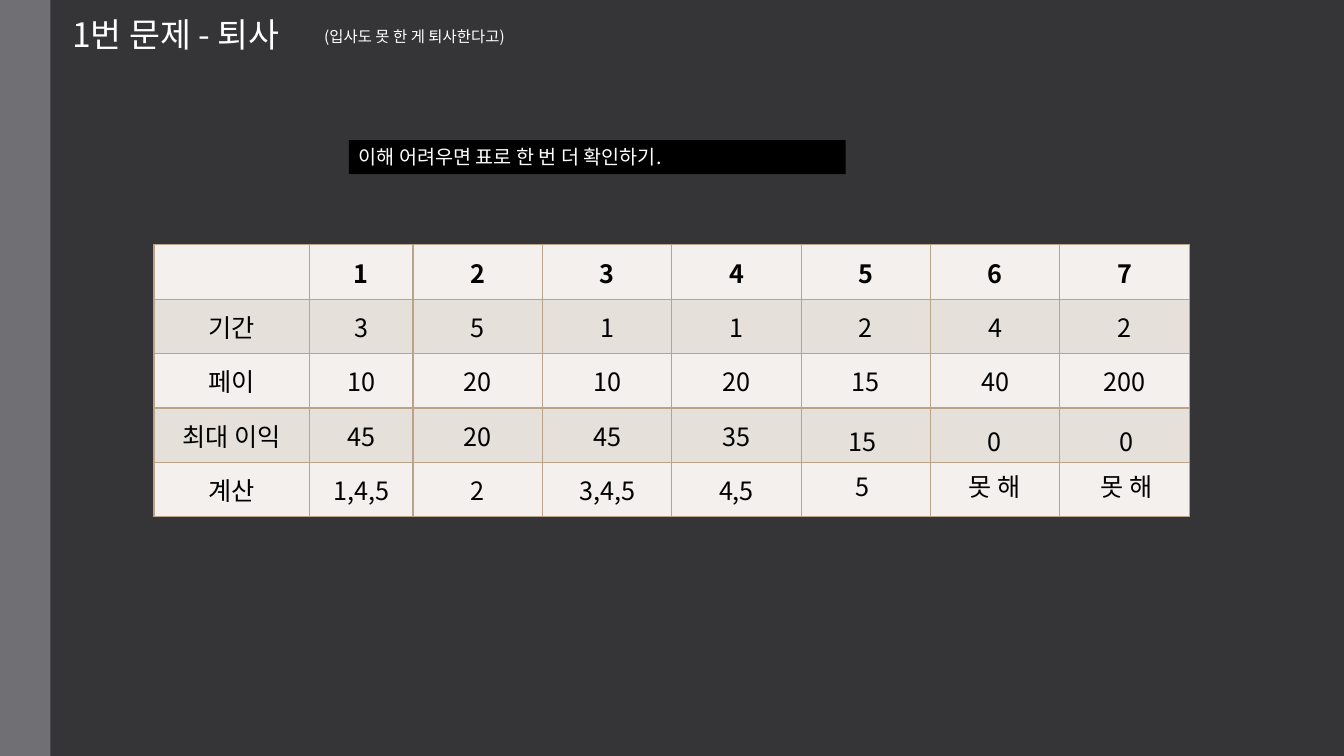
from lxml import etree
from pptx import Presentation
from pptx.dml.color import RGBColor
from pptx.enum.shapes import MSO_SHAPE
from pptx.enum.text import MSO_ANCHOR, MSO_AUTO_SIZE, PP_ALIGN
from pptx.oxml.ns import qn
from pptx.util import Cm, Pt

RECT = MSO_SHAPE.RECTANGLE
TOP, MIDDLE = MSO_ANCHOR.TOP, MSO_ANCHOR.MIDDLE
LEFT, CENTER = PP_ALIGN.LEFT, PP_ALIGN.CENTER
GROW = MSO_AUTO_SIZE.SHAPE_TO_FIT_TEXT

FONT = "Noto Sans CJK KR"
DARK = RGBColor(0x35, 0x35, 0x37)
GRAY = RGBColor(0x6F, 0x6F, 0x74)
WHITE = RGBColor(0xFF, 0xFF, 0xFF)
BLACK = RGBColor(0x00, 0x00, 0x00)
LIGHT = RGBColor(0xF3, 0xF0, 0xED)
BEIGE = RGBColor(0xE6, 0xE0, 0xDA)
TAN = RGBColor(0xB9, 0xA4, 0x89)

ROWS = [
    ["", "1", "2", "3", "4", "5", "6", "7"],
    ["기간", "3", "5", "1", "1", "2", "4", "2"],
    ["페이", "10", "20", "10", "20", "15", "40", "200"],
    ["최대 이익", "45", "20", "45", "35", "", "", ""],
    ["계산", "1,4,5", "2", "3,4,5", "4,5", "", "", ""],
]
WIDTHS = [3.91, 2.62] + [3.26] * 6
HEIGHT = 1.37


def write(frame, text, size, color, align=LEFT, bold=False, spacing=None):
    frame.text = text
    for para in frame.paragraphs:
        para.alignment = align
        if spacing:
            para.line_spacing = spacing
        font = para.font
        font.size = Pt(size)
        font.bold = bold
        font.color.rgb = color
        font.name = FONT
        for face in para._p.iter(qn("a:latin")):
            east = etree.Element(qn("a:ea"), typeface=FONT)
            face.addnext(east)


def add_box(slide, left, top, width, height, fill):
    box = slide.shapes.add_shape(RECT, Cm(left), Cm(top), Cm(width), Cm(height))
    box.shadow.inherit = False
    box.fill.solid()
    box.fill.fore_color.rgb = fill
    box.line.fill.background()
    return box


def add_label(slide, left, top, width, height, text, size, color=WHITE,
              align=LEFT, anchor=TOP, spacing=None):
    box = slide.shapes.add_textbox(Cm(left), Cm(top), Cm(width), Cm(height))
    frame = box.text_frame
    frame.word_wrap = True
    frame.auto_size = GROW
    frame.vertical_anchor = anchor
    write(frame, text, size, color, align, spacing=spacing)


def set_border(cell):
    props = cell._tc.get_or_add_tcPr()
    for index, side in enumerate(("lnL", "lnR", "lnT", "lnB")):
        line = etree.Element(qn(f"a:{side}"), w=str(Pt(1)))
        fill = etree.SubElement(line, qn("a:solidFill"))
        etree.SubElement(fill, qn("a:srgbClr"), val=str(TAN))
        props.insert(index, line)


def add_grid(slide, left, top):
    shape = slide.shapes.add_table(len(ROWS), len(WIDTHS), Cm(left), Cm(top),
                                   Cm(sum(WIDTHS)), Cm(HEIGHT * len(ROWS)))
    table = shape.table
    table.first_row = False
    table.horz_banding = False
    for column, width in zip(table.columns, WIDTHS):
        column.width = Cm(width)
    for r, values in enumerate(ROWS):
        table.rows[r].height = Cm(HEIGHT)
        for c, value in enumerate(values):
            cell = table.cell(r, c)
            cell.fill.solid()
            cell.fill.fore_color.rgb = BEIGE if r % 2 else LIGHT
            cell.vertical_anchor = MIDDLE
            write(cell.text_frame, value, 18, BLACK, CENTER, bold=r == 0)
            set_border(cell)


def add_note(slide, text):
    box = add_box(slide, 8.79, 3.53, 12.52, 0.86, BLACK)
    frame = box.text_frame
    frame.word_wrap = True
    frame.auto_size = GROW
    frame.vertical_anchor = TOP
    write(frame, text, 14, WHITE)


def main():
    deck = Presentation()
    deck.slide_width = Cm(33.87)
    deck.slide_height = Cm(19.05)
    slide = deck.slides.add_slide(deck.slide_layouts[6])
    slide.background.fill.solid()
    slide.background.fill.fore_color.rgb = DARK

    add_box(slide, 0, 0, 1.27, 19.05, GRAY)
    add_label(slide, 1.57, 0.23, 7.21, 1.27, "1번 문제 - 퇴사", 24)
    add_label(slide, 7.92, 0.56, 7.21, 0.74, "(입사도 못 한 게 퇴사한다고)", 11)
    add_grid(slide, 3.88, 6.17)
    for left, width, text in [(27.2, 2.39, "0\n못 해"), (23.88, 2.39, "0\n못 해"),
                              (20.07, 3.33, "15\n5")]:
        add_label(slide, left, 10.31, width, 2.39, text, 18, BLACK,
                  CENTER, MIDDLE, 1.5)
    add_note(slide, "이해 어려우면 표로 한 번 더 확인하기.")
    deck.save("out.pptx")


if __name__ == "__main__":
    main()
